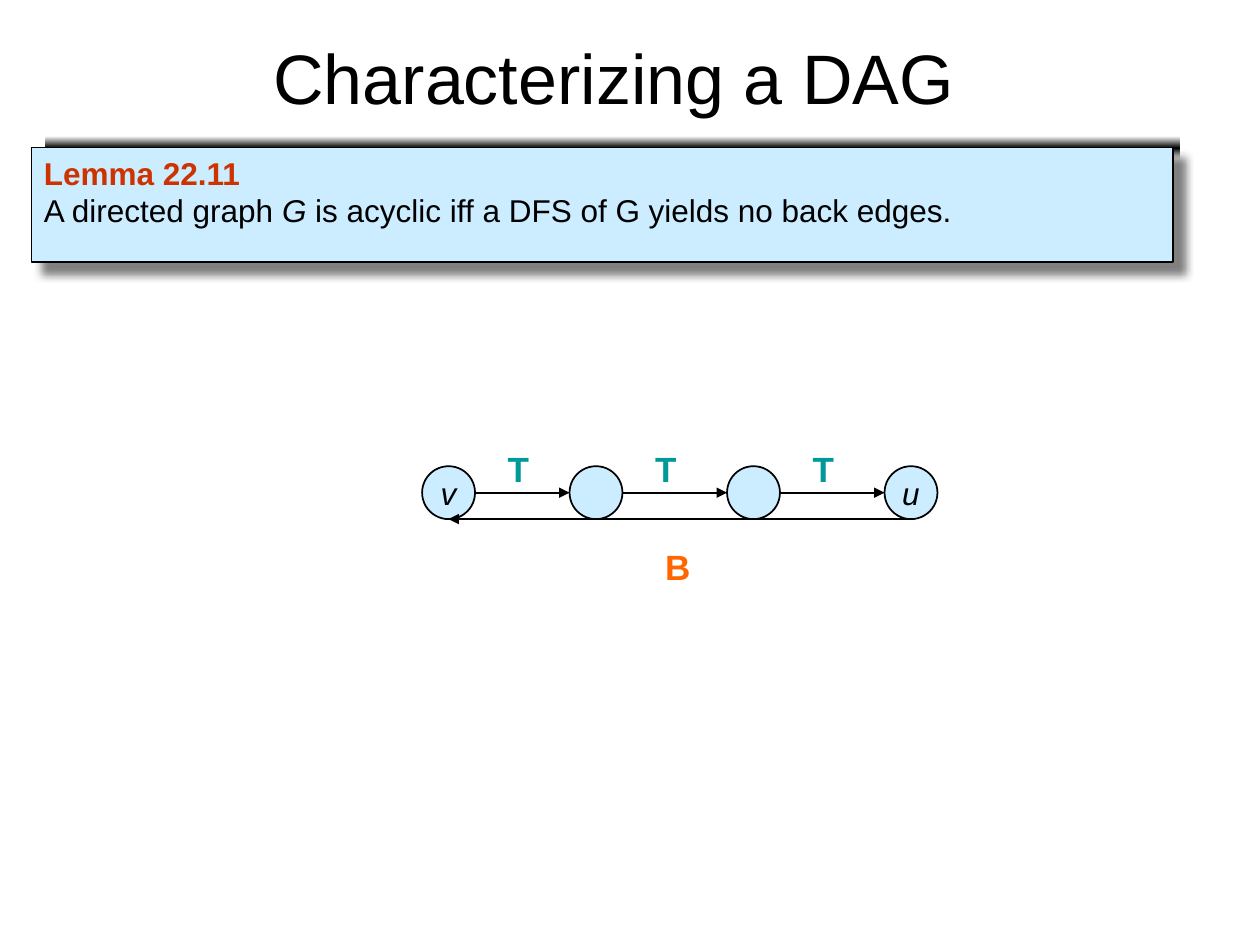
from lxml import etree
from pptx import Presentation
from pptx import util as u
from pptx.dml.color import RGBColor
from pptx.enum import shapes, text
from pptx.oxml import parse_xml
from pptx.oxml.ns import nsdecls, qn

BLACK = RGBColor(0x00, 0x00, 0x00)
PALE_BLUE = RGBColor(0xCC, 0xEC, 0xFF)
RED = RGBColor(0xCC, 0x33, 0x00)
TEAL = RGBColor(0x00, 0x99, 0x99)
ORANGE = RGBColor(0xFF, 0x66, 0x00)

NODE_SIZE = 0.42
NODE_TOP = 3.7
NODES = [(3.35, "v"), (4.52, ""), (5.77, ""), (7.02, "u")]
LABEL_SIZE = (0.39, 0.43)


def inches(*lengths):
    return [u.Inches(length) for length in lengths]


def add_run(paragraph, wording, size, color=BLACK, bold=False, italic=False):
    run = paragraph.add_run()
    run.text = wording
    run.font.name = "Arial"
    run.font.size = u.Pt(size)
    run.font.bold = bold
    run.font.italic = italic
    run.font.color.rgb = color


def add_box(slide, kind, box):
    """Add a pale blue shape with a thin black outline."""
    shape = slide.shapes.add_shape(kind, *inches(*box))
    shape.shadow.inherit = False
    shape.fill.solid()
    shape.fill.fore_color.rgb = PALE_BLUE
    shape.line.color.rgb = BLACK
    shape.line.width = u.Pt(1)
    return shape


def add_title(slide, wording):
    title = slide.shapes.title
    title.left, title.top, title.width, title.height = inches(0.37, 0.11, 9, 0.99)
    title.text_frame.vertical_anchor = text.MSO_ANCHOR.MIDDLE
    paragraph = title.text_frame.paragraphs[0]
    paragraph.alignment = text.PP_ALIGN.CENTER
    add_run(paragraph, wording, 40)


def add_title_rule(slide):
    """Add the bar under the title, fading from black to white both ways."""
    bar = slide.shapes.add_shape(
        shapes.MSO_SHAPE.ROUNDED_RECTANGLE, *inches(0.36, 1.08, 9.01, 0.19))
    bar.shadow.inherit = False
    bar.line.fill.background()
    bar.fill.gradient()
    stops = bar.fill._fill._gradFill.find(qn("a:gsLst"))
    for stop in list(stops):
        stops.remove(stop)
    for position, color in ((0, "FFFFFF"), (50000, "000000"), (100000, "FFFFFF")):
        stop = etree.SubElement(stops, qn("a:gs"), pos=str(position))
        etree.SubElement(stop, qn("a:srgbClr"), val=color)
    bar.fill.gradient_angle = 270


def add_lemma(slide):
    box = add_box(slide, shapes.MSO_SHAPE.RECTANGLE, (0.25, 1.17, 9.06, 0.91))
    effects = box._element.spPr.find(qn("a:effectLst"))
    effects.append(parse_xml(
        f'<a:outerShdw {nsdecls("a")} blurRad="{u.Pt(5)}" dist="{u.Pt(8.5)}" '
        'dir="2700000" algn="ctr" rotWithShape="0">'
        '<a:srgbClr val="808080"/></a:outerShdw>'))
    frame = box.text_frame
    frame.word_wrap = True
    frame.vertical_anchor = text.MSO_ANCHOR.TOP
    heading, statement = frame.paragraphs[0], frame.add_paragraph()
    heading.alignment = statement.alignment = text.PP_ALIGN.LEFT
    add_run(heading, "Lemma 22.11", 18, RED, bold=True)
    add_run(statement, "A directed graph ", 18)
    add_run(statement, "G", 18, italic=True)
    add_run(statement, " is acyclic iff a DFS of G yields no back edges.", 18)


def add_node(slide, left, name):
    node = add_box(slide, shapes.MSO_SHAPE.OVAL,
                   (left, NODE_TOP, NODE_SIZE, NODE_SIZE))
    if name:
        node.text_frame.word_wrap = False
        node.text_frame.vertical_anchor = text.MSO_ANCHOR.MIDDLE
        paragraph = node.text_frame.paragraphs[0]
        paragraph.alignment = text.PP_ALIGN.CENTER
        add_run(paragraph, name, 18, italic=True)


def add_edge(slide, kind, start, end, y):
    edge = slide.shapes.add_connector(kind, *inches(start, y, end, y))
    edge.line.color.rgb = BLACK
    edge.line.width = u.Pt(1)
    etree.SubElement(edge.line._get_or_add_ln(), qn("a:tailEnd"), type="triangle")
    etree.SubElement(edge._element.spPr, qn("a:effectLst"))


def add_edge_label(slide, wording, left, top, color):
    label = slide.shapes.add_textbox(*inches(left, top, *LABEL_SIZE))
    label.text_frame.word_wrap = True
    add_run(label.text_frame.paragraphs[0], wording, 20, color, bold=True)


def add_graph(slide):
    lefts = [left for left, _ in NODES]
    for left, name in NODES:
        add_node(slide, left, name)
    for left, following in zip(lefts, lefts[1:]):
        add_edge(slide, shapes.MSO_CONNECTOR.STRAIGHT,
                 left + NODE_SIZE, following, NODE_TOP + NODE_SIZE / 2)
        add_edge_label(slide, "T", left + 0.58, 3.5, TEAL)
    add_edge(slide, shapes.MSO_CONNECTOR.CURVE, lefts[-1] + NODE_SIZE / 2,
             lefts[0] + NODE_SIZE / 2, NODE_TOP + NODE_SIZE)
    add_edge_label(slide, "B", 5.18, 4.28, ORANGE)


def main():
    presentation = Presentation()
    presentation.slide_width, presentation.slide_height = inches(10, 7.5)
    slide = presentation.slides.add_slide(presentation.slide_layouts[5])
    add_title_rule(slide)
    add_title(slide, "Characterizing a DAG")
    add_lemma(slide)
    add_graph(slide)
    presentation.save("out.pptx")


if __name__ == "__main__":
    main()
